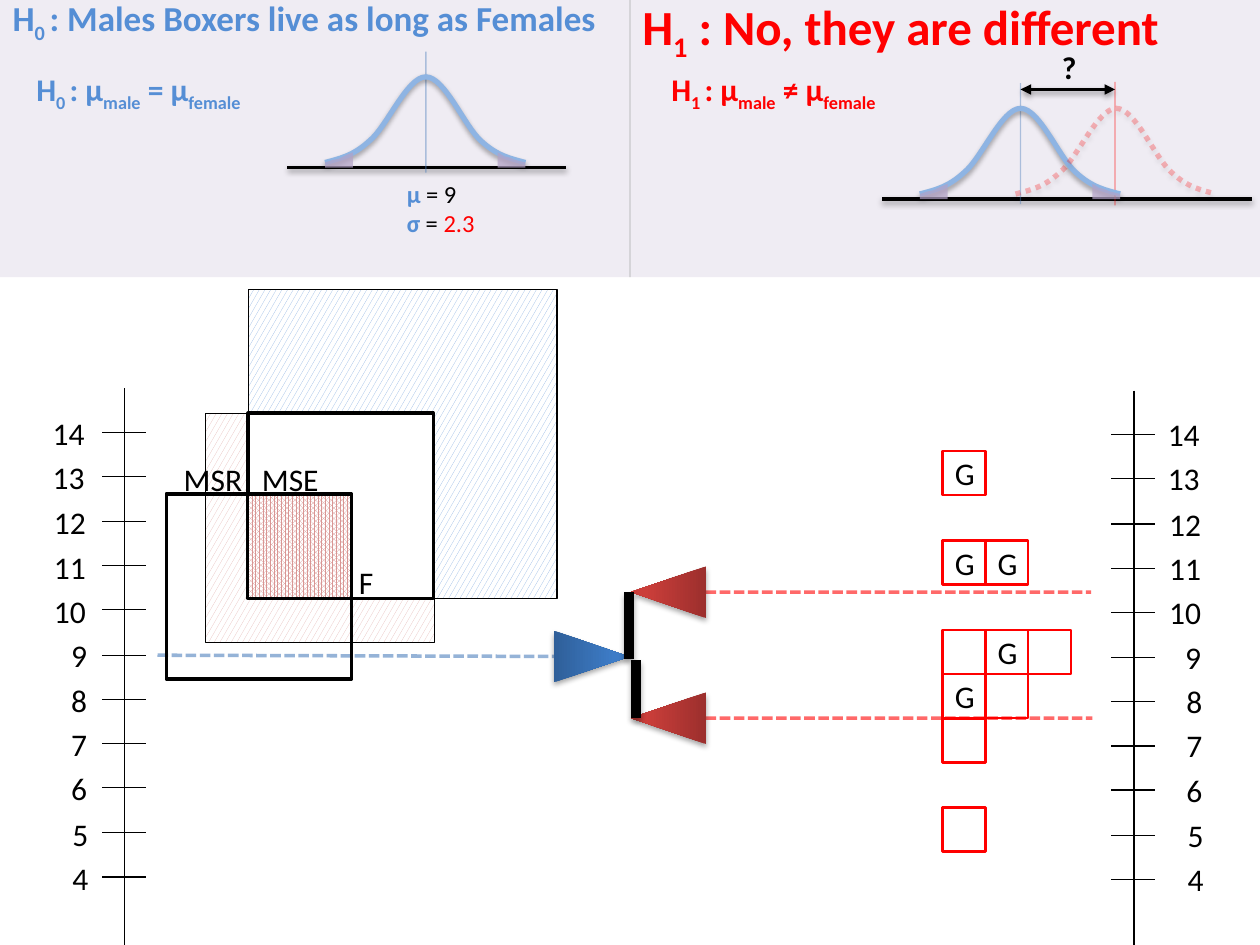
import lxml.etree
import pptx
import pptx.dml.color
import pptx.enum.dml
import pptx.enum.shapes
import pptx.enum.text
import pptx.oxml.ns
import pptx.shapes.autoshape
import pptx.util

PX = 9144
qn = pptx.oxml.ns.qn
rgb = pptx.dml.color.RGBColor.from_string
SHAPE = pptx.enum.shapes.MSO_SHAPE
STRAIGHT = pptx.enum.shapes.MSO_CONNECTOR.STRAIGHT
DASH = pptx.enum.dml.MSO_LINE
PATTERN = pptx.enum.dml.MSO_PATTERN
ALIGN = pptx.enum.text.PP_ALIGN
ANCHOR = pptx.enum.text.MSO_ANCHOR


class Theme:
    font = "Calibri"
    black, white, red = "000000", "FFFFFF", "FF0000"
    blue, curve, blue_line = "558ED5", "8EB4E3", "4B7EBC"
    lilac, divider = "B3A2C7", "BFBFBF"
    pink, rose = "E6B9B8", "D99694"
    blue_gradient = ("2F5F99", "3D7CC7")
    red_gradient = ("9C2F2D", "CB3E3A")
    body, small, heading, big_heading = 18, 14, 20, 28


def style(shape, line=None, width=0.75, dash=None, fill=None, alpha=None, shadow=False):
    if isinstance(shape, pptx.shapes.autoshape.Shape):
        if fill:
            shape.fill.solid()
            shape.fill.fore_color.rgb = rgb(fill)
        else:
            shape.fill.background()
    if line:
        shape.line.color.rgb = rgb(line)
        shape.line.width = pptx.util.Pt(width)
        shape.line.dash_style = dash
    else:
        shape.line.fill.background()
    properties = shape.element.spPr
    if alpha:
        for color in properties.iter(qn("a:srgbClr")):
            lxml.etree.SubElement(color, qn("a:alpha"), val=str(alpha * 1000))
    effects = lxml.etree.SubElement(properties, qn("a:effectLst"))
    if shadow:
        outer = lxml.etree.SubElement(effects, qn("a:outerShdw"), blurRad="40000",
                                      dist="23000", dir="5400000", rotWithShape="0")
        color = lxml.etree.SubElement(outer, qn("a:srgbClr"), val=Theme.black)
        lxml.etree.SubElement(color, qn("a:alpha"), val="35000")
    return shape


def write(shape, text, size=Theme.body, color=Theme.black, bold=False,
          align=ALIGN.LEFT, anchor=ANCHOR.TOP, wrap=True):
    frame = shape.text_frame
    frame.word_wrap = wrap
    frame.auto_size = pptx.enum.text.MSO_AUTO_SIZE.NONE
    frame.vertical_anchor = anchor
    paragraph = frame.paragraphs[0]
    paragraph.alignment = align
    paragraph.font.name = Theme.font
    paragraph.font.size = pptx.util.Pt(size)
    paragraph.font.bold = bold
    paragraph.font.color.rgb = rgb(color)
    for part in text.split("|"):
        paragraph.add_run().text = part
    for subscript in list(shape.element.iter(qn("a:r")))[1::2]:
        subscript.get_or_add_rPr().set("baseline", "-25000")


presentation = pptx.Presentation()
presentation.slide_width = 1000 * PX
presentation.slide_height = 750 * PX
slide = presentation.slides.add_slide(presentation.slide_layouts[5])
shapes = slide.shapes

for axis_x, axis_y, label_x, label_y in [(81, 343, 1, 326), (882, 345, 886, 327)]:
    axis = shapes.add_group_shape().shapes
    for index, value in enumerate(range(4, 15)):
        rise = 35.3 * (10 - index)
        tick_y = round(axis_y + rise) * PX
        style(axis.add_connector(STRAIGHT, axis_x * PX, tick_y, (axis_x + 35) * PX, tick_y),
              Theme.black)
        label = axis.add_textbox(round(label_x - 0.3 * index) * PX,
                                 round(label_y + rise) * PX, 79 * PX, 35 * PX)
        write(label, str(value), align=ALIGN.RIGHT, anchor=ANCHOR.MIDDLE)
    middle = (axis_x + 18) * PX
    style(axis.add_connector(STRAIGHT, middle, (axis_y - 35) * PX, middle, (axis_y + 407) * PX),
          Theme.black)

dogs = shapes.add_group_shape().shapes
for age, column, letter in [(11, 0, "G"), (9, 0, ""), (9, 1, "G"), (8, 0, "G"), (8, 1, ""),
                            (7, 0, ""), (5, 0, ""), (13, 0, "G"), (11, 1, "G"), (9, 2, "")]:
    dog = dogs.add_shape(SHAPE.RECTANGLE, (748 + 34 * column) * PX,
                         round(358 + 35.4 * (13 - age)) * PX, 34 * PX, 35 * PX)
    style(dog, Theme.red, 1.5)
    if letter:
        write(dog, letter, align=ALIGN.CENTER, anchor=ANCHOR.MIDDLE)

for x1, y1, x2, y2, color in [(125, 520, 440, 521, Theme.blue_line),
                              (560, 570, 867, 570, Theme.red),
                              (560, 470, 866, 470, Theme.red)]:
    style(shapes.add_connector(STRAIGHT, x1 * PX, y1 * PX, x2 * PX, y2 * PX),
          color, 2, DASH.SQUARE_DOT, alpha=58)

for left, top, rotation, colors in [(449, 491, 90, Theme.blue_gradient),
                                    (510, 540, 270, Theme.red_gradient),
                                    (510, 440, 270, Theme.red_gradient)]:
    marker = shapes.add_shape(SHAPE.ISOSCELES_TRIANGLE, left * PX, top * PX, 41 * PX, 60 * PX)
    marker.rotation = rotation
    marker.adjustments[0] = 0.505
    style(marker, shadow=True)
    marker.fill.gradient()
    marker.fill.gradient_angle = 90
    for stop, color, position in zip(marker.fill.gradient_stops, colors, (0, 0.8)):
        stop.color.rgb = rgb(color)
        stop.position = position

for x, y1, y2 in [(505, 570, 524), (499, 523, 470)]:
    style(shapes.add_connector(STRAIGHT, x * PX, y1 * PX, x * PX, y2 * PX),
          Theme.black, 5.5, shadow=True)

for left, top, side, width, fill, pattern in [
        (197, 230, 245, 0.75, Theme.curve, PATTERN.LARGE_CONFETTI),
        (163, 328, 182, 0.75, Theme.pink, PATTERN.LARGE_CONFETTI),
        (197, 328, 147, 2, Theme.white, None),
        (197, 393, 81, 0.75, Theme.rose, PATTERN.PERCENT_80),
        (132, 392, 147, 2, None, None)]:
    square = shapes.add_shape(SHAPE.RECTANGLE, left * PX, top * PX, side * PX, side * PX)
    style(square, Theme.black, width, fill=fill)
    if pattern:
        square.fill.patterned()
        square.fill.pattern = pattern
        square.fill.fore_color.rgb = rgb(fill)
        square.fill.back_color.rgb = rgb(Theme.white)

for left, top, name in [(198, 360, "MSE"), (136, 360, "MSR"), (275, 442, "F")]:
    write(shapes.add_textbox(left * PX, top * PX, 81 * PX, 40 * PX), name)

panel = style(shapes.add_shape(SHAPE.RECTANGLE, 0, 0, 1000 * PX, 220 * PX),
              fill=Theme.lilac, alpha=20)
divider = shapes.add_connector(STRAIGHT, 500 * PX, 0, 500 * PX, 220 * PX)
divider.begin_connect(panel, 0)
divider.end_connect(panel, 2)
style(divider, Theme.divider, alpha=79)

title = shapes.title
title.element.getparent().append(title.element)
title.left, title.top, title.width, title.height = 0, -8 * PX, 500 * PX, 44 * PX
write(title, "H|0 |: Males Boxers live as long as Females", Theme.heading, Theme.blue, True)
alternative = shapes.add_textbox(500 * PX, -8 * PX, 550 * PX, 57 * PX)
write(alternative, "H|1| : No, they are different", Theme.big_heading, Theme.red, True)

bell = [(258, 129), (269, 126), (280, 124), (293, 112), (307, 101), (323, 61), (338, 61),
        (353, 61), (369, 101), (382, 112), (395, 124), (406, 126), (417, 129)]
right_tail = [(417, 133), (417, 129), (413, 128), (409, 127), (404, 125), (400, 124),
              (395, 121), (395, 133)]
left_tail = [(258, 129), (264, 127), (269, 126), (275, 123), (280, 121), (280, 133), (258, 133)]
solid_bell = dict(line=Theme.curve, width=3, shadow=True)
dotted_bell = dict(line=Theme.red, width=3, dash=DASH.ROUND_DOT, alpha=26, shadow=True)
tail_style = dict(fill=Theme.lilac, alpha=70)

for dx, dy, baseline_end, shift in [(0, 0, 449, None), (472, 25, 994, 548)]:
    plot = shapes.add_group_shape().shapes
    lines = [((228 + dx, 133 + dy, baseline_end, 133 + dy),
              dict(line=Theme.black, width=2, shadow=True)),
             ((338 + dx, 41 + dy, 338 + dx, 137 + dy), dict(line=Theme.blue_line, alpha=42))]
    outlines = [(bell, dx, solid_bell), (right_tail, dx, tail_style), (left_tail, dx, tail_style)]
    if shift:
        outlines.append((bell, shift, dotted_bell))
        lines.append(((885, 65, 885, 163), dict(line=Theme.red, alpha=42)))
    for ends, look in lines:
        style(plot.add_connector(STRAIGHT, *(end * PX for end in ends)), **look)
    for points, offset, look in outlines:
        corners = [(x + offset, y + dy) for x, y in points]
        builder = plot.build_freeform(*corners[0], scale=PX)
        builder.add_line_segments(corners[1:], close=points is not bell)
        outline = style(builder.convert_to_shape(), **look)
        if points is bell:
            segments = list(outline.element.iter(qn("a:lnTo")))
            for first in range(0, len(segments), 3):
                segments[first].tag = qn("a:cubicBezTo")
                for control in segments[first + 1:first + 3]:
                    segments[first].append(control[0])
                    control.getparent().remove(control)

difference = style(plot.add_connector(STRAIGHT, 810 * PX, 71 * PX, 885 * PX, 71 * PX),
                   Theme.black, 2, shadow=True)
for end in ("a:headEnd", "a:tailEnd"):
    lxml.etree.SubElement(difference.element.spPr.find(qn("a:ln")), qn(end), type="triangle")

parameters = shapes.add_textbox(313 * PX, 137 * PX, 99 * PX, 57 * PX).text_frame
parameters.word_wrap = True
parameters.add_paragraph()
for paragraph, symbol, value, color in zip(parameters.paragraphs, "µσ", ("9", "2.3"),
                                           (Theme.black, Theme.red)):
    paragraph.font.name = Theme.font
    paragraph.font.size = pptx.util.Pt(Theme.small)
    for text, text_color, bold in [(symbol, Theme.blue, True), (" = ", Theme.black, False),
                                   (value, color, False)]:
        run = paragraph.add_run()
        run.text = text
        run.font.bold = bold
        run.font.color.rgb = rgb(text_color)

for left, width, text, color in [(19, 200, "H|0 |: µ|male| = µ|female", Theme.blue),
                                 (523, 196, "H|1 |: µ|male| ≠ µ|female", Theme.red)]:
    write(shapes.add_textbox(left * PX, 51 * PX, width * PX, 40 * PX), text,
          color=color, bold=True, wrap=False)
question = shapes.add_textbox(825 * PX, 33 * PX, 47 * PX, 40 * PX)
write(question, "?", bold=True, align=ALIGN.CENTER)

presentation.save("out.pptx")
